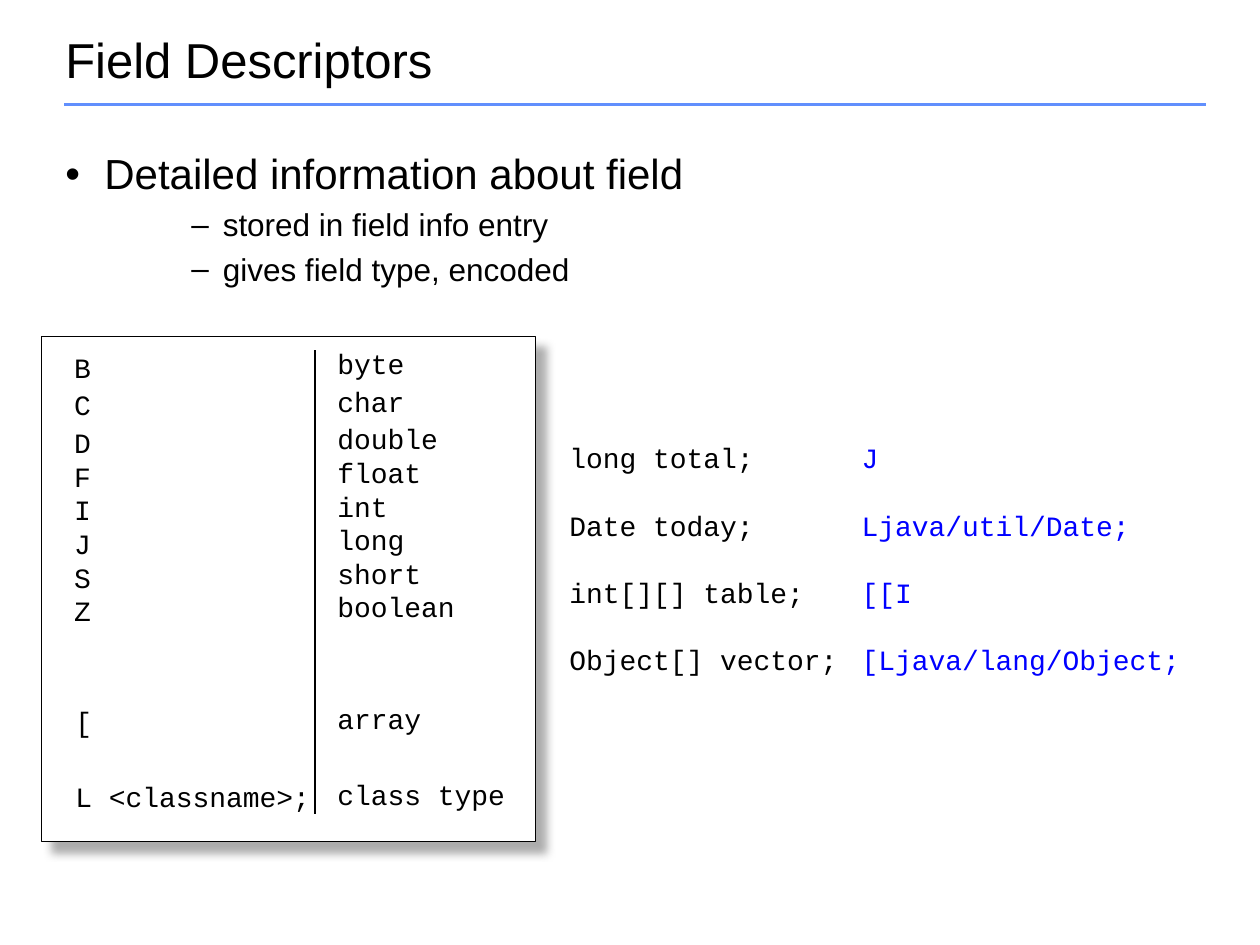
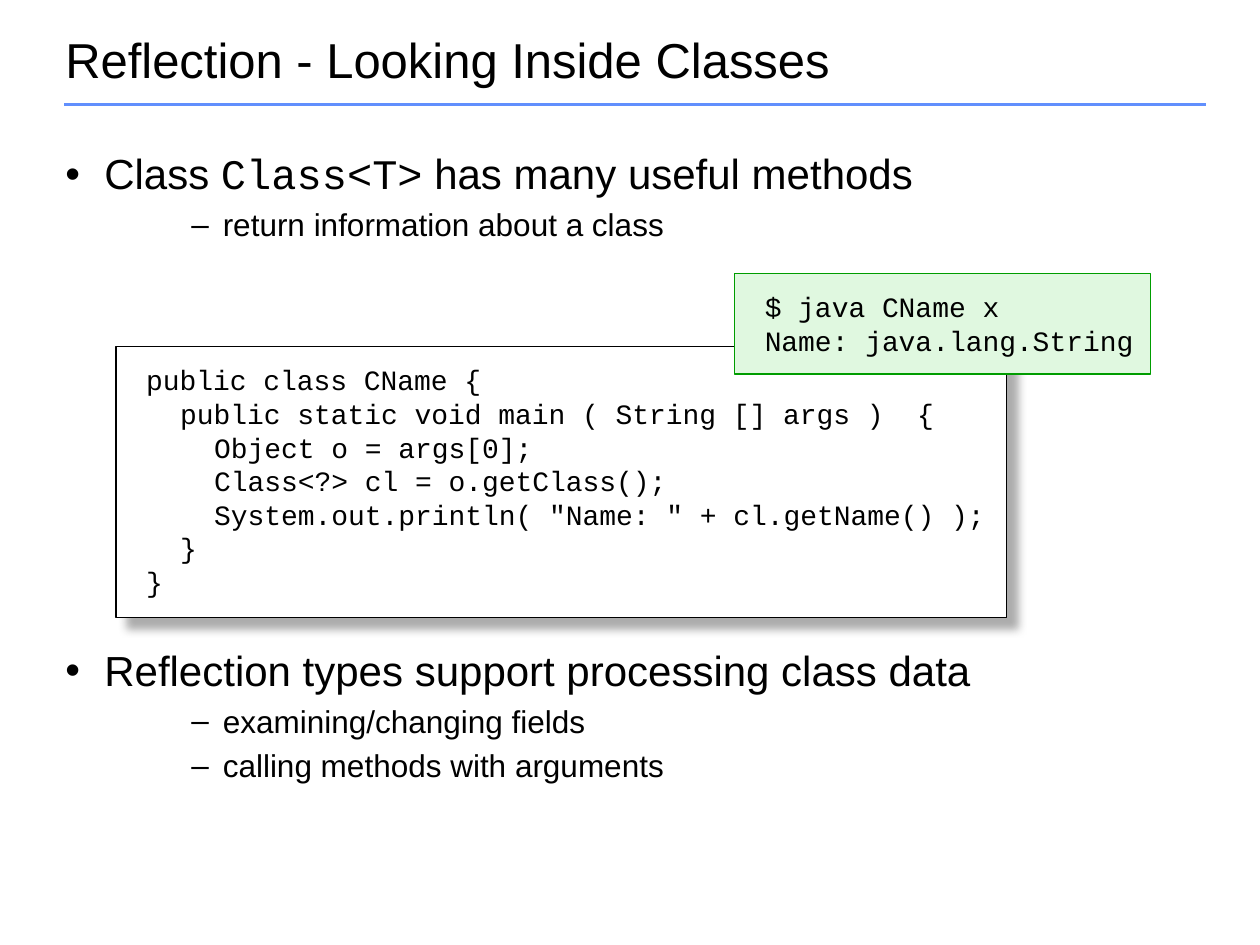
from lxml import etree
from pptx import Presentation
from pptx.dml.color import RGBColor
from pptx.enum.shapes import MSO_CONNECTOR, MSO_SHAPE
from pptx.enum.text import MSO_ANCHOR, PP_ALIGN
from pptx.oxml.ns import qn
from pptx.util import Inches, Pt

BLACK = RGBColor(0x00, 0x00, 0x00)
WHITE = RGBColor(0xFF, 0xFF, 0xFF)
RULE_BLUE = RGBColor(0x61, 0x8F, 0xFD)
CODE_BLUE = RGBColor(0x00, 0x00, 0xFF)
OUTPUT_FILL = RGBColor(0xE0, 0xF8, 0xE0)
OUTPUT_LINE = RGBColor(0x00, 0x9D, 0x00)
SHADOW_GREY = RGBColor(0x91, 0x91, 0x91)

SANS, MONO = "Arial", "Courier New"
CODE_SIZE = 16
CODE_PITCH = 19.2
CODE_GAP = 2.4
CODE_STEP = 0.27
BULLETS = {
    1: ("\u2022", 24, 0.31, -0.31),
    2: ("\u2013", 18, 1.25, -0.25),
}


class Deck:
    def __init__(self):
        self.prs = Presentation()
        self.prs.slide_width, self.prs.slide_height = Inches(10), Inches(7.5)
        self.slide = None

    def new_slide(self, title):
        self.slide = self.prs.slides.add_slide(self.prs.slide_layouts[6])
        self.line(0.51, 0.83, 9.57, 0.83, RULE_BLUE, 2)
        frame = self.text_frame(0.42, 0.25, 9.17, 0.5)
        frame.vertical_anchor = MSO_ANCHOR.MIDDLE
        frame.paragraphs[0].line_spacing = 0.9
        self.run(frame.paragraphs[0], title, 28)

    def line(self, x1, y1, x2, y2, color, width):
        line = self.slide.shapes.add_connector(
            MSO_CONNECTOR.STRAIGHT, Inches(x1), Inches(y1), Inches(x2), Inches(y2))
        line.line.color.rgb = color
        line.line.width = Pt(width)
        etree.SubElement(line._element.spPr, qn("a:effectLst"))

    def text_frame(self, x, y, w, h):
        box = self.slide.shapes.add_textbox(Inches(x), Inches(y), Inches(w), Inches(h))
        box.text_frame.word_wrap = True
        return box.text_frame

    def run(self, paragraph, text, size, font=SANS, color=BLACK):
        run = paragraph.add_run()
        run.text = text
        run.font.size, run.font.name = Pt(size), font
        run.font.color.rgb = color

    def paragraphs(self, frame, count):
        for _ in range(count - 1):
            frame.add_paragraph()
        return frame.paragraphs

    def bullets(self, y, h, items):
        frame = self.text_frame(0.42, y, 9.5, h)
        for p, (level, *parts) in zip(self.paragraphs(frame, len(items)), items):
            mark, size, margin, indent = BULLETS[level]
            p.level = level - 1
            p.line_spacing = 0.9
            p.space_before = Pt(0.33 * size)
            props = p._p.get_or_add_pPr()
            props.set("marL", str(Inches(margin)))
            props.set("indent", str(Inches(indent)))
            etree.SubElement(props, qn("a:buFont"), typeface=SANS)
            etree.SubElement(props, qn("a:buChar"), char=mark)
            for i, part in enumerate(parts):
                self.run(p, part, size, MONO if i % 2 else SANS)

    def panel(self, x, y, w, h, fill=WHITE, outline=BLACK, shadow=False):
        box = self.slide.shapes.add_shape(
            MSO_SHAPE.RECTANGLE, Inches(x), Inches(y), Inches(w), Inches(h))
        box.shadow.inherit = False
        box.fill.solid()
        box.fill.fore_color.rgb = fill
        box.line.color.rgb = outline
        box.line.width = Pt(0.75)
        if shadow:
            effects = box._element.spPr.find(qn("a:effectLst"))
            outer = etree.SubElement(
                effects, qn("a:outerShdw"), blurRad=str(Pt(5)), dist=str(Pt(8.5)),
                dir=str(45 * 60000), algn="tl", rotWithShape="0")
            color = etree.SubElement(outer, qn("a:srgbClr"), val=str(SHADOW_GREY))
            etree.SubElement(color, qn("a:alpha"), val="75000")
        return box

    def code_panel(self, x, y, w, h, lines, **style):
        frame = self.panel(x, y, w, h, **style).text_frame
        frame.word_wrap = True
        frame.vertical_anchor = MSO_ANCHOR.TOP
        frame.margin_left = Inches(0.24)
        frame.margin_top = frame.margin_bottom = Inches(0.13)
        for p, (depth, text) in zip(self.paragraphs(frame, len(lines)), lines):
            p.alignment = PP_ALIGN.LEFT
            p.line_spacing = Pt(CODE_PITCH)
            p._p.get_or_add_pPr().set("marL", str(Inches(CODE_STEP * depth)))
            self.run(p, text, CODE_SIZE, MONO)

    def code_column(self, x, y, w, h, rows):
        frame = self.text_frame(x, y, w, h)
        for p, (text, gap) in zip(self.paragraphs(frame, len(rows)), rows):
            p.line_spacing = Pt(CODE_PITCH)
            p.space_before = Pt(gap)
            self.run(p, text, CODE_SIZE, MONO)

    def declarations(self, x, y, w, h, tab, pairs):
        frame = self.text_frame(x, y, w, h)
        frame.margin_top = frame.margin_bottom = Inches(0.17)
        for i, p in enumerate(self.paragraphs(frame, len(pairs))):
            p.line_spacing = Pt(CODE_PITCH)
            p.space_before = Pt(CODE_PITCH if i else 0)
            tabs = etree.SubElement(p._p.get_or_add_pPr(), qn("a:tabLst"))
            etree.SubElement(tabs, qn("a:tab"), pos=str(Inches(tab)), algn="l")
            declaration, descriptor = pairs[i]
            self.run(p, declaration + "\t", CODE_SIZE, MONO)
            self.run(p, descriptor, CODE_SIZE, MONO, CODE_BLUE)


deck = Deck()

deck.new_slide("Field Descriptors")
deck.panel(0.33, 2.67, 3.92, 4.01, shadow=True)
deck.bullets(1.17, 1.22, [
    (1, "Detailed information about field"),
    (2, "stored in field info entry"),
    (2, "gives field type, encoded"),
])
primitive_gaps = [CODE_GAP] * 3 + [0] * 5
compound_gaps = [CODE_GAP, CODE_PITCH + 2 * CODE_GAP]
primitive_names = ["byte", "char", "double", "float", "int", "long", "short", "boolean"]
deck.code_column(0.49, 2.73, 0.34, 2.34, list(zip("BCDFIJSZ", primitive_gaps)))
deck.code_column(2.58, 2.7, 1.14, 2.34, list(zip(primitive_names, primitive_gaps)))
deck.code_column(0.5, 5.54, 2.09, 0.99, list(zip(["[", "L <classname>;"], compound_gaps)))
deck.code_column(2.58, 5.52, 1.55, 0.99, list(zip(["array", "class type"], compound_gaps)))
deck.line(2.5, 2.78, 2.5, 6.46, BLACK, 0.75)
deck.declarations(4.42, 3.33, 5.25, 2.23, 2.32, [
    ("long total;", "J"),
    ("Date today;", "Ljava/util/Date;"),
    ("int[][] table;", "[[I"),
    ("Object[] vector;", "[Ljava/lang/Object;"),
])

deck.new_slide("Reflection - Looking Inside Classes")
deck.bullets(1.17, 0.9, [
    (1, "Class ", "Class<T>", " has many useful methods"),
    (2, "return information about a class"),
])
deck.bullets(5.11, 1.22, [
    (1, "Reflection types support processing class data"),
    (2, "examining/changing fields"),
    (2, "calling methods with arguments"),
])
deck.code_panel(0.92, 2.75, 7.07, 2.15, [
    (0, "public class CName {"),
    (1, "public static void main ( String [] args )  {"),
    (2, "Object o = args[0];"),
    (2, "Class<?> cl = o.getClass();"),
    (2, 'System.out.println( "Name: " + cl.getName() );'),
    (1, "}"),
    (0, "}"),
], shadow=True)
deck.code_panel(5.83, 2.17, 3.3, 0.8, [
    (0, "$ java CName x"),
    (0, "Name: java.lang.String"),
], fill=OUTPUT_FILL, outline=OUTPUT_LINE)

deck.prs.save("out.pptx")
